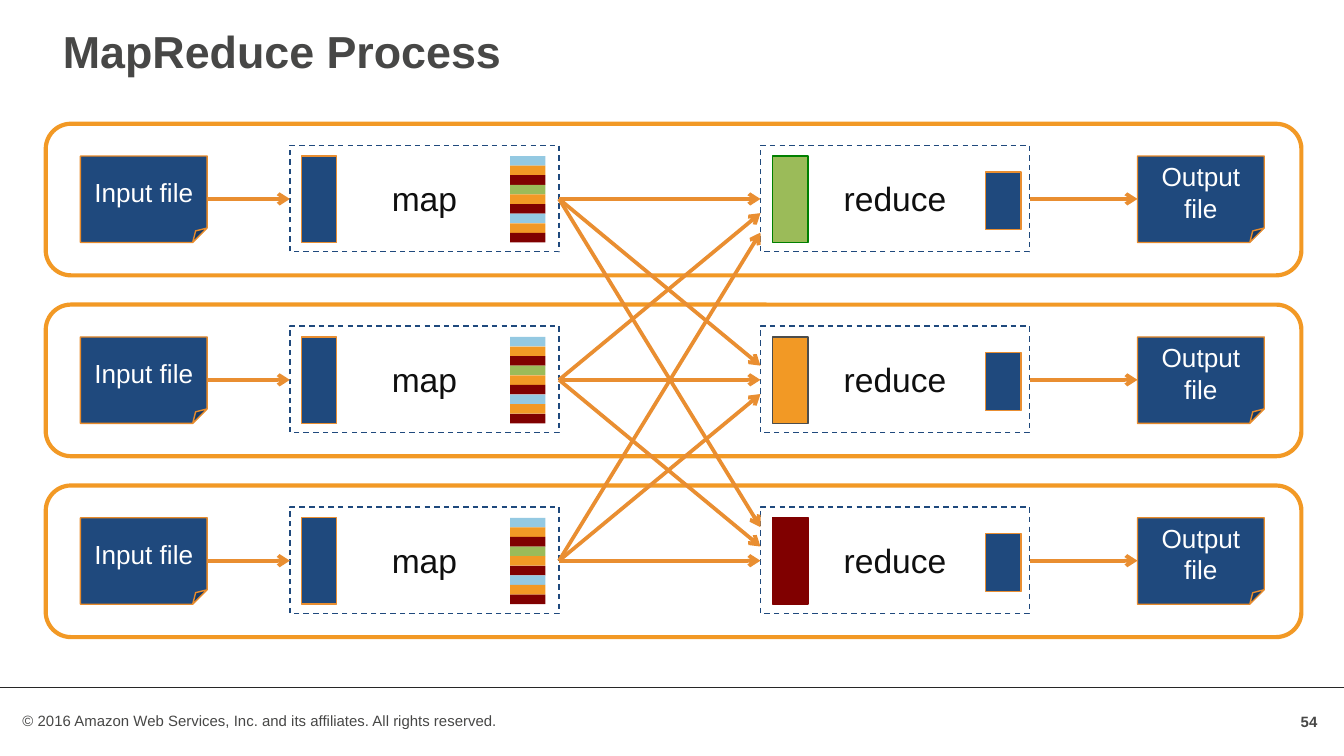
from lxml.etree import SubElement
from pptx import Presentation
from pptx.dml.color import RGBColor
from pptx.enum.dml import MSO_LINE
from pptx.enum.shapes import MSO_CONNECTOR, MSO_SHAPE
from pptx.enum.text import MSO_ANCHOR, PP_ALIGN
from pptx.oxml.ns import qn
from pptx.util import Pt

# Colours
WHITE = RGBColor(0xFF, 0xFF, 0xFF)
INK = RGBColor(0x0F, 0x0F, 0x0F)
GREY = RGBColor(0x47, 0x47, 0x46)
SLATE = RGBColor(0x4C, 0x4D, 0x4C)
RULE = RGBColor(0x27, 0x27, 0x27)
NAVY = RGBColor(0x1F, 0x49, 0x7D)
GOLD = RGBColor(0xF2, 0x99, 0x25)
AMBER = RGBColor(0xE9, 0x8E, 0x31)
RUST = RGBColor(0xE8, 0x8B, 0x2B)
SKY = RGBColor(0x94, 0xC9, 0xE2)
LEAF = RGBColor(0x9B, 0xBB, 0x59)
GREEN = RGBColor(0x00, 0x80, 0x00)
WINE = RGBColor(0x80, 0x00, 0x00)

# Rows and columns, in points
TOP, PITCH = 66.3, 96.9
MID = 40.3
IN_X, MAP_X, RED_X, OUT_X = 43.1, 155.3, 407.4, 609.4
FILE_W, STEP_W, BAR_W, BAR_H = 67.9, 144.2, 19, 46.3
STRIPES = [SKY, GOLD, WINE, LEAF, GOLD, WINE, SKY, GOLD, WINE]
KEYS = [(LEAF, GREEN), (GOLD, SLATE), (WINE, WINE)]
SHIFT = [0, 7.6, 18]  # arrow end offset by row distance


class Deck:
    font = "Arial"

    def __init__(self, wide, high):
        self.prs = Presentation()
        self.prs.slide_width, self.prs.slide_height = Pt(wide), Pt(high)
        self.slide = self.prs.slides.add_slide(self.prs.slide_layouts[6])

    def text(self, shape, words, size, color, align, bold=False,
             anchor=MSO_ANCHOR.MIDDLE, pad=7.2):
        frame = shape.text_frame
        look = {"word_wrap": True, "vertical_anchor": anchor,
                "margin_left": Pt(pad), "margin_right": Pt(pad)}
        for name, value in look.items():
            setattr(frame, name, value)
        para = frame.paragraphs[0]
        para.alignment = align
        run = para.add_run()
        run.text = words
        look = {"name": self.font, "size": Pt(size), "bold": bold}
        for name, value in look.items():
            setattr(run.font, name, value)
        run.font.color.rgb = color

    def label(self, box, words, size, align=PP_ALIGN.LEFT, **more):
        shape = self.slide.shapes.add_textbox(*map(Pt, box))
        self.text(shape, words, size, GREY, align, **more)

    def shape(self, box, fill=None, line=None, width=0.75, dash=None,
              kind=MSO_SHAPE.RECTANGLE):
        shape = self.slide.shapes.add_shape(kind, *map(Pt, box))
        shape.shadow.inherit = False
        for part, color in ((shape.fill, fill), (shape.line.fill, line)):
            if color is None:
                part.background()
            else:
                part.solid()
                part.fore_color.rgb = color
        if line is not None:
            shape.line.width = Pt(width)
            shape.line.dash_style = dash
        return shape

    def paper(self, x, y, words):
        shape = self.shape((x, y, FILE_W, BAR_H), NAVY, RUST,
                           kind=MSO_SHAPE.FOLDED_CORNER)
        self.text(shape, words, 14, WHITE, PP_ALIGN.CENTER, pad=3.6)

    def step(self, x, y, words):
        shape = self.shape((x, y, STEP_W, 57), WHITE, NAVY,
                           dash=MSO_LINE.DASH)
        self.text(shape, words, 18, INK, PP_ALIGN.CENTER)

    def line(self, ends, color, width, arrow=False):
        line = self.slide.shapes.add_connector(
            MSO_CONNECTOR.STRAIGHT, *map(Pt, ends))
        line.line.color.rgb = color
        line.line.width = Pt(width)
        props = line.element.spPr
        if arrow:
            SubElement(props.find(qn("a:ln")), qn("a:tailEnd"), type="arrow")
        SubElement(props, qn("a:effectLst"))

    def arrow(self, *ends):
        self.line(ends, AMBER, 2, arrow=True)


def main():
    deck = Deck(720, 405)

    # Footer and title
    deck.line((0, 368, 720, 368), RULE, 0.25)
    deck.label((687.6, 376, 25.2, 21.6), "54", 8, PP_ALIGN.RIGHT, bold=True)
    deck.label((5, 375.1, 488, 21.6),
               "© 2016 Amazon Web Services, Inc. and its affiliates. "
               "All rights reserved.", 8)
    deck.label((26.6, 9.4, 645.8, 53.3), "MapReduce Process", 24, bold=True,
               anchor=MSO_ANCHOR.TOP)

    # One row per node
    rows = [TOP + i * PITCH for i in range(len(KEYS))]
    for y, (fill, edge) in zip(rows, KEYS):
        bar = y + 17.3
        deck.step(MAP_X, y + 11.5, "map")
        deck.shape((24.5, y, 672.7, 81.2), None, GOLD, 2.25,
                   kind=MSO_SHAPE.ROUNDED_RECTANGLE)
        deck.paper(IN_X, bar, "Input file")
        deck.shape((161.5, bar, BAR_W, BAR_H), NAVY, AMBER)
        high = BAR_H / len(STRIPES)
        for i, color in enumerate(STRIPES):
            deck.shape((273.3, bar + i * high, BAR_W, high), color)
        deck.step(RED_X, y + 11.5, "reduce")
        deck.shape((413.9, bar, BAR_W, BAR_H), fill, edge)
        deck.paper(OUT_X, bar, "Output file")
        deck.shape((528, y + 25.8, BAR_W, 31), NAVY, AMBER)
        mid = y + MID
        deck.arrow(IN_X + FILE_W, mid, MAP_X, mid)
        deck.arrow(RED_X + STEP_W, mid, OUT_X, mid)

    # Shuffle: every map feeds every reduce
    for i, start in enumerate(rows):
        for j, end in enumerate(rows):
            gap = SHIFT[abs(i - j)] * (1 if i > j else -1)
            deck.arrow(MAP_X + STEP_W, start + MID, RED_X, end + MID + gap)

    deck.prs.save("out.pptx")


if __name__ == "__main__":
    main()
